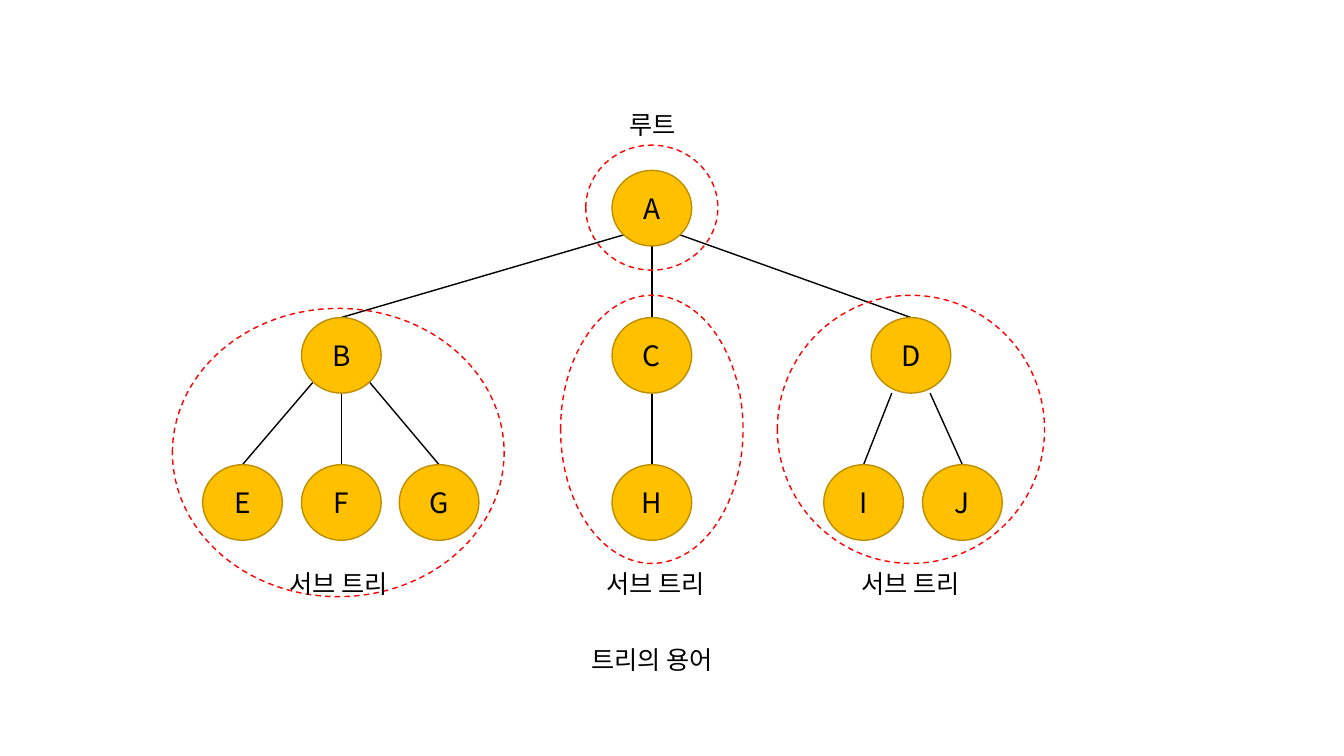
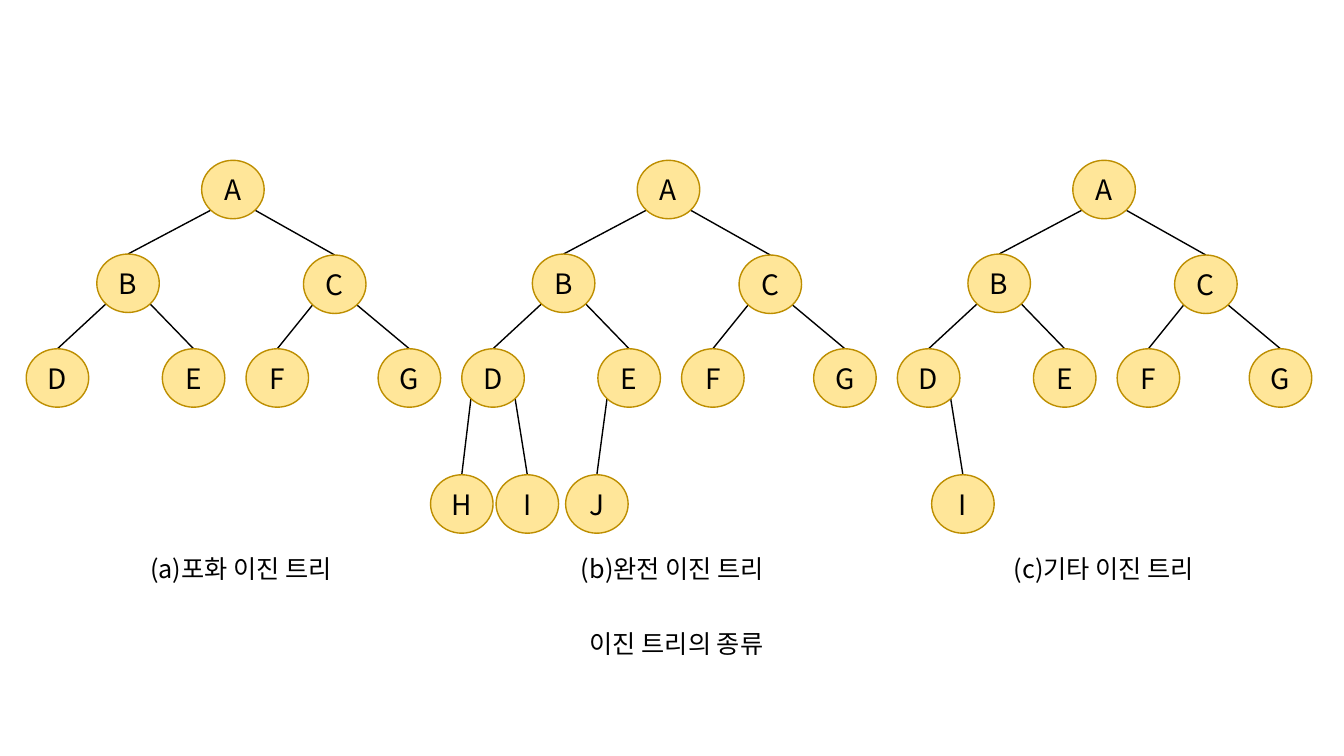
from lxml.etree import SubElement
from pptx import Presentation
from pptx.dml.color import RGBColor
from pptx.enum.dml import MSO_LINE
from pptx.enum.shapes import MSO_CONNECTOR, MSO_SHAPE
from pptx.enum.text import MSO_ANCHOR, MSO_AUTO_SIZE, PP_ALIGN
from pptx.oxml.ns import qn
from pptx.util import Inches, Pt

FONT = "Noto Sans CJK KR"
BLACK = RGBColor(0x00, 0x00, 0x00)
RED = RGBColor(0xFF, 0x00, 0x00)
GOLD = RGBColor(0xFF, 0xC0, 0x00)
PALE_GOLD = RGBColor(0xFF, 0xE6, 0x99)
DARK_GOLD = RGBColor(0xBD, 0x8E, 0x00)
DIAGONAL = 0.5 ** 0.5

TERM_NODE = (0.79, 0.75)
TERM_LEVELS = (1.69, 3.15, 4.61)
TERM_TREE = {
    "A": (6.07, 0), "B": (2.99, 1), "C": (6.07, 1), "D": (8.64, 1),
    "E": (2.01, 2), "F": (2.99, 2), "G": (3.96, 2), "H": (6.07, 2),
    "I": (8.17, 2), "J": (9.15, 2),
}
TERM_EDGES = ("AB", "AC", "AD", "BE", "BF", "BG", "CH", "DI", "DJ")
TERM_EXITS = {"D": (0.19, 0.75)}
TERM_RINGS = [
    (5.81, 1.44, 1.31, 1.24), (5.56, 2.93, 1.81, 2.66),
    (7.71, 2.93, 2.65, 2.66), (1.71, 3.06, 3.29, 2.86),
]
TERM_LABELS = [
    ("루트", 6.00, 1.04, 0.94),
    ("서브 트리", 2.67, 5.59, 1.37),
    ("서브 트리", 5.82, 5.59, 1.37),
    ("서브 트리", 8.35, 5.59, 1.37),
    ("트리의 용어", 5.52, 6.34, 1.89),
]

BINARY_NODE = (0.62, 0.58)
BINARY_POSITIONS = {
    "A": (2.00, 1.59), "B": (0.96, 2.52), "C": (3.01, 2.53),
    "D": (0.26, 3.46), "E": (1.61, 3.46), "F": (2.44, 3.46),
    "G": (3.75, 3.46), "H": (-0.05, 4.71), "I": (0.60, 4.71),
    "J": (1.29, 4.71),
}
BINARY_EDGES = ("AB", "AC", "BD", "BE", "CF", "CG")
BINARY_KINDS = [
    ("(a)포화 이진 트리", ()),
    ("(b)완전 이진 트리", ("DH", "DI", "EJ")),
    ("(c)기타 이진 트리", ("DI",)),
]
TREE_STEP = 4.32
LABEL_STEP = 4.28
BINARY_TITLE = ("이진 트리의 종류", 5.47, 6.18, 2.48)


def write(shape, text, size):
    frame = shape.text_frame
    frame.text = text
    para = frame.paragraphs[0]
    para.alignment = PP_ALIGN.CENTER
    span = para.runs[0]
    span.font.name = FONT
    span.font.size = Pt(size)
    span.font.color.rgb = BLACK
    SubElement(span.font._element, qn("a:ea")).set("typeface", FONT)


def add_label(page, text, left, top, width):
    box = page.shapes.add_textbox(
        Inches(left), Inches(top), Inches(width), Inches(0.4))
    box.text_frame.word_wrap = True
    box.text_frame.auto_size = MSO_AUTO_SIZE.SHAPE_TO_FIT_TEXT
    write(box, text, 18)


def add_circle(shapes, left, top, width, height, line_color):
    circle = shapes.add_shape(
        MSO_SHAPE.FLOWCHART_CONNECTOR,
        Inches(left), Inches(top), Inches(width), Inches(height))
    circle.shadow.inherit = False
    circle.line.color.rgb = line_color
    circle.line.width = Pt(1)
    return circle


def add_edge(shapes, start, end):
    edge = shapes.add_connector(
        MSO_CONNECTOR.STRAIGHT, *(Inches(length) for length in start + end))
    edge.line.color.rgb = BLACK
    edge.line.width = Pt(1)
    SubElement(edge._element.spPr, qn("a:effectLst"))


def add_tree(page, positions, edges, node_size, fill_color, exits={}):
    shapes = page.shapes.add_group_shape().shapes
    width, height = node_size
    corner = (width / 2 * DIAGONAL, height / 2 * (1 + DIAGONAL))
    for parent, child in edges:
        parent_left, parent_top = positions[parent]
        child_left, child_top = positions[child]
        side = (child_left > parent_left) - (child_left < parent_left)
        reach, drop = exits.get(parent, corner) if side else (0, height)
        add_edge(
            shapes,
            (parent_left + width / 2 + side * reach, parent_top + drop),
            (child_left + width / 2, child_top))
    for name, (left, top) in positions.items():
        node = add_circle(shapes, left, top, width, height, DARK_GOLD)
        node.fill.solid()
        node.fill.fore_color.rgb = fill_color
        node.text_frame.vertical_anchor = MSO_ANCHOR.MIDDLE
        write(node, name, 20)


deck = Presentation()
deck.slide_width = Inches(13.33)
deck.slide_height = Inches(7.5)
blank = deck.slide_layouts[6]

terms_page = deck.slides.add_slide(blank)
term_positions = {
    name: (left, TERM_LEVELS[level])
    for name, (left, level) in TERM_TREE.items()}
add_tree(terms_page, term_positions, TERM_EDGES, TERM_NODE, GOLD, TERM_EXITS)
for ring_place in TERM_RINGS:
    ring = add_circle(terms_page.shapes, *ring_place, RED)
    ring.fill.background()
    ring.line.dash_style = MSO_LINE.DASH
for label in TERM_LABELS:
    add_label(terms_page, *label)

binary_page = deck.slides.add_slide(blank)
for index, (caption, extra_edges) in enumerate(BINARY_KINDS):
    tree_edges = BINARY_EDGES + extra_edges
    used_names = set("".join(tree_edges))
    tree_positions = {
        name: (left + index * TREE_STEP, top)
        for name, (left, top) in BINARY_POSITIONS.items()
        if name in used_names}
    add_tree(binary_page, tree_positions, tree_edges, BINARY_NODE, PALE_GOLD)
    add_label(binary_page, caption, 1.15 + index * LABEL_STEP, 5.44, 2.48)
add_label(binary_page, *BINARY_TITLE)

deck.save("out.pptx")
